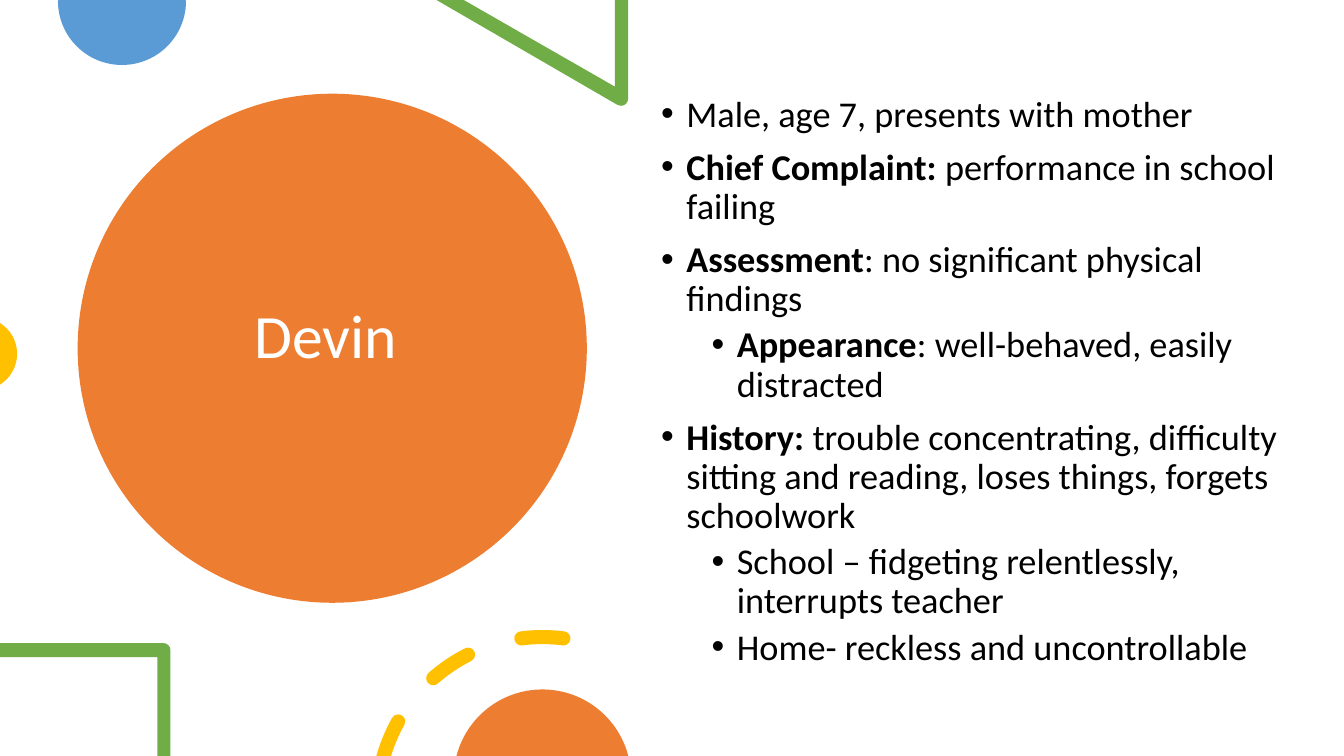
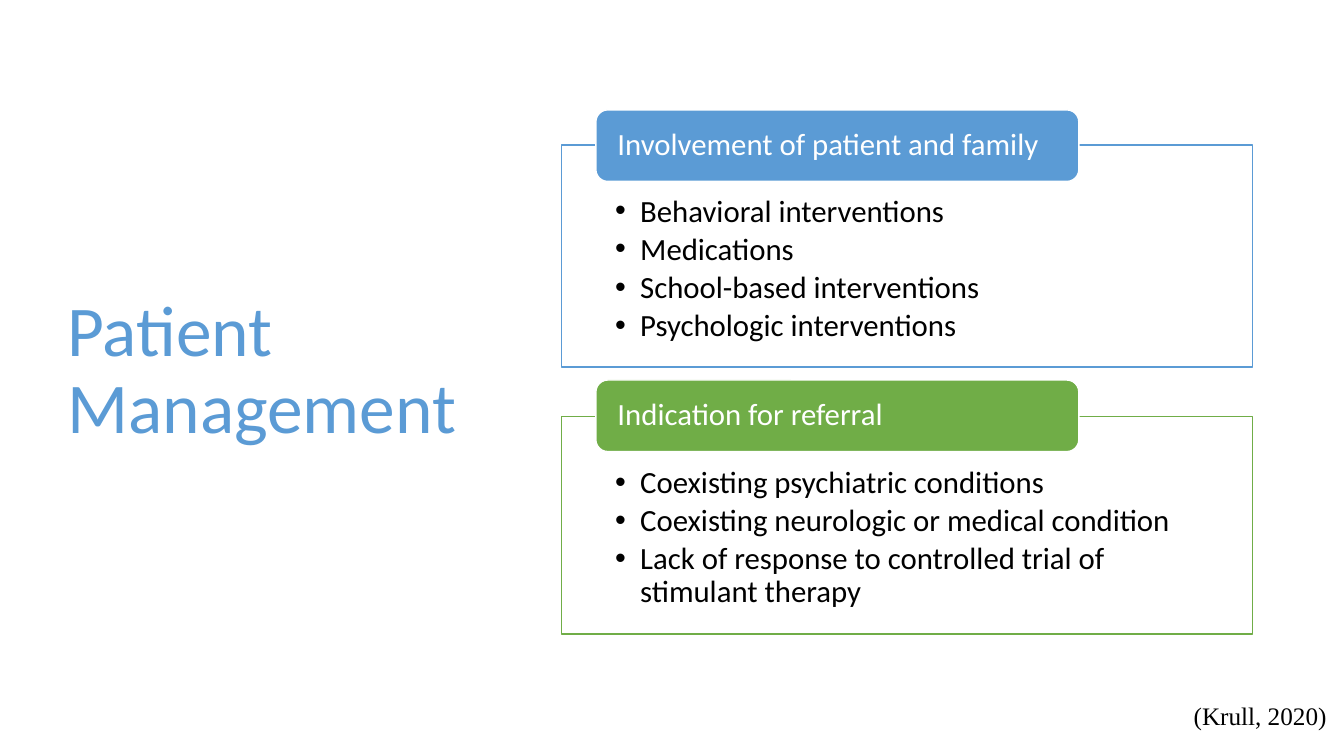
import math

import pptx
import pptx.dml.color
import pptx.enum.shapes
import pptx.enum.text
import pptx.oxml
import pptx.oxml.ns
import pptx.util

PX = 9144  # EMU in one px, 100 px to the inch
SLIDE_WIDTH, SLIDE_HEIGHT = 1333, 750
INDENT = 25

RGB = pptx.dml.color.RGBColor
BLUE = RGB(0x5B, 0x9B, 0xD5)
GREEN = RGB(0x70, 0xAD, 0x47)
ORANGE = RGB(0xED, 0x7D, 0x31)
YELLOW = RGB(0xFF, 0xC0, 0x00)
WHITE = RGB(0xFF, 0xFF, 0xFF)
BLACK = RGB(0x00, 0x00, 0x00)

SHAPE = pptx.enum.shapes.MSO_SHAPE
ALIGN = pptx.enum.text.PP_ALIGN
ANCHOR = pptx.enum.text.MSO_ANCHOR
Pt = pptx.util.Pt
qn = pptx.oxml.ns.qn

TITLE_FRAME = {"vertical_anchor": ANCHOR.MIDDLE}


def arc(cx, cy, radius, start, end):
    """Start point, then Bezier curves cut at each quarter; degrees run clockwise from the right."""
    quarters = [q for q in range(-360, 721, 90) if min(start, end) < q < max(start, end)]
    stops = [math.radians(a) for a in [start, *sorted(quarters, reverse=end < start), end]]
    outline = [(cx + radius * math.cos(stops[0]), cy + radius * math.sin(stops[0]))]
    for a, b in zip(stops, stops[1:]):
        pull = 4 / 3 * math.tan((b - a) / 4)
        outline.append((
            cx + radius * (math.cos(a) - pull * math.sin(a)),
            cy + radius * (math.sin(a) + pull * math.cos(a)),
            cx + radius * (math.cos(b) + pull * math.sin(b)),
            cy + radius * (math.sin(b) - pull * math.cos(b)),
            cx + radius * math.cos(b), cy + radius * math.sin(b)))
    return outline


def write(shape, paragraphs, font, frame=None, spacing=None, bullets=False):
    """Fill a shape with (level, bold lead, plain text) paragraphs."""
    text_frame = shape.text_frame
    margins = {"margin_left": 10 * PX, "margin_right": 10 * PX,
               "margin_top": 5 * PX, "margin_bottom": 5 * PX}
    frame_format = {"word_wrap": True, "vertical_anchor": ANCHOR.TOP, **margins, **(frame or {})}
    for attribute, value in frame_format.items():
        setattr(text_frame, attribute, value)
    for index, (level, lead, plain) in enumerate(paragraphs):
        paragraph = text_frame.add_paragraph() if index else text_frame.paragraphs[0]
        paragraph_format = {"alignment": ALIGN.LEFT, "line_spacing": 0.9, "level": level,
                            **(spacing or {})}
        if bullets == "nested":
            paragraph_format["space_before"] = Pt(5 if level else 10)
        for attribute, value in paragraph_format.items():
            setattr(paragraph, attribute, value)
        if bullets:
            properties = paragraph._p.get_or_add_pPr()
            margin = INDENT + (2 * INDENT * level if bullets == "nested" else 0)
            properties.set("marL", str(margin * PX))
            properties.set("indent", str(-INDENT * PX))
            for tag, key, value in (("a:buFont", "typeface", "Arial"), ("a:buChar", "char", "•")):
                bullet = pptx.oxml.parse_xml(f"<{tag} {pptx.oxml.ns.nsdecls('a')}/>")
                bullet.set(key, value)
                properties.append(bullet)
        for text, bold in ((lead, True), (plain, False)):
            if text:
                run = paragraph.add_run()
                run.text = text
                for attribute, value in {"name": "Calibri", "bold": bold, **font}.items():
                    if attribute == "color":
                        run.font.color.rgb = value
                    else:
                        setattr(run.font, attribute, value)


deck = pptx.Presentation()
deck.slide_width, deck.slide_height = SLIDE_WIDTH * PX, SLIDE_HEIGHT * PX
blank = deck.slide_layouts[6]

# Slide 1: patient profile
profile = deck.slides.add_slide(blank).shapes
disc = profile.add_shape(SHAPE.OVAL, 77 * PX, 93 * PX, 505 * PX, 505 * PX)
disc.shadow.inherit = False
disc.fill.solid()
disc.fill.fore_color.rgb = ORANGE
disc.line.fill.background()

name_title = profile.add_textbox(146 * PX, 113 * PX, 354 * PX, 445 * PX)
write(name_title, [(0, "", " Devin ")], {"size": Pt(44), "color": WHITE},
      TITLE_FRAME, {"alignment": ALIGN.CENTER})

# Round-ended dashes at equal steps around one ring; the slide's edge cuts the first
ring_x, ring_y, ring_radius, half_width = 538, 796, 164, 7
outer, inner = ring_radius + half_width, ring_radius - half_width
edge_outer, edge_inner = (
    180 + math.degrees(math.asin((ring_y - SLIDE_HEIGHT) / radius)) for radius in (outer, inner))
dashes = []
for start in (194.7, 228.7, 262.7):
    end = start + 14.6
    cut = start < edge_outer
    end_x, end_y = arc(ring_x, ring_y, ring_radius, start, end)[-1][-2:]
    dash = [*arc(ring_x, ring_y, outer, edge_outer if cut else start, end),
            *arc(end_x, end_y, half_width, end, end + 180)[1:],
            *arc(ring_x, ring_y, inner, end, edge_inner if cut else start)[1:]]
    if not cut:
        start_x, start_y = arc(ring_x, ring_y, ring_radius, start, end)[0]
        dash += arc(start_x, start_y, half_width, start + 180, start + 360)[1:]
    dashes.append(dash)

decorations = [
    (BLUE, [[(184, 0), (58, 0), *arc(121, 1, 63.5, 180, 0)]]),
    (GREEN, [[(623, 0), (610, 0), (610, 86), (460, 0), (433, 0), *arc(616, 98, 7, 120, 0)]]),
    (YELLOW, [arc(-19, 351, 36, -58, 58)]),
    (GREEN, [[(169, 750), (156, 750), (156, 652), (0, 652), (0, 638), *arc(162, 645, 7, -90, 0)]]),
    (YELLOW, dashes),
    (ORANGE, [arc(538, 772, 88, 194.5, 345.5)]),
]
for color, contours in decorations:
    builder = profile.build_freeform(*(v * PX for v in contours[0][0]), scale=1.0)
    for index, contour in enumerate(contours):
        if index:
            builder.move_to(*(v * PX for v in contour[0]))
        builder.add_line_segments([(s[-2] * PX, s[-1] * PX) for s in contour[1:]], close=True)
    decoration = builder.convert_to_shape()
    decoration.shadow.inherit = False
    decoration.fill.solid()
    decoration.fill.fore_color.rgb = color
    decoration.line.fill.background()
    # Turn the straight steps that stand for curves into Bezier curves
    steps = [step for contour in contours for step in contour[1:]]
    for line, step in zip(list(decoration._element.iter(qn("a:lnTo"))), steps):
        if len(step) == 6:
            curve = pptx.oxml.parse_xml(f"<a:cubicBezTo {pptx.oxml.ns.nsdecls('a')}>"
                                        "<a:pt/><a:pt/><a:pt/></a:cubicBezTo>")
            for point, x, y in zip(curve, step[::2], step[1::2]):
                point.set("x", str(round(x * PX) - decoration.left))
                point.set("y", str(round(y * PX) - decoration.top))
            line.getparent().replace(line, curve)

findings = [
    (0, "", "Male, age 7, presents with mother"),
    (0, "Chief Complaint: ", "performance in school failing"),
    (0, "Assessment", ": no significant physical findings"),
    (1, "Appearance", ": well-behaved, easily distracted"),
    (0, "History: ", "trouble concentrating, difficulty sitting and reading, "
                     "loses things, forgets schoolwork"),
    (1, "", "School – fidgeting relentlessly, interrupts teacher"),
    (1, "", "Home- reckless and uncontrollable"),
]
case_notes = profile.add_textbox(646 * PX, 90 * PX, 637 * PX, 595 * PX)
write(case_notes, findings, {"size": Pt(25.9), "color": BLACK}, bullets="nested")

# Slide 2: patient management
management = deck.slides.add_slide(blank).shapes
management_title = management.add_textbox(57 * PX, 68 * PX, 416 * PX, 602 * PX)
write(management_title, [(0, "", "Patient Management")], {"size": Pt(51), "color": BLUE}, TITLE_FRAME)

citation = management.add_textbox(1174 * PX, 690 * PX, 159 * PX, 40 * PX)
write(citation, [(0, "", "(Krull, 2020)")],
      {"name": "Times New Roman", "size": Pt(18), "color": BLACK},
      {"word_wrap": False, "auto_size": pptx.enum.text.MSO_AUTO_SIZE.SHAPE_TO_FIT_TEXT},
      {"line_spacing": 1.0, "space_after": Pt(6)})

cards = [
    (109, 144, 220, BLUE, "Involvement of patient and family",
     ["Behavioral interventions", "Medications", "School-based interventions",
      "Psychologic interventions"]),
    (377, 413, 216, GREEN, "Indication for referral",
     ["Coexisting psychiatric conditions", "Coexisting neurologic or medical condition",
      "Lack of response to controlled trial of stimulant therapy"]),
]
card_frame = {"margin_left": 53 * PX, "margin_right": 53 * PX,
              "margin_top": 50 * PX, "margin_bottom": 17 * PX}
heading_frame = {"margin_left": 18 * PX, "margin_right": 18 * PX, "margin_top": 0,
                 "margin_bottom": 0, **TITLE_FRAME}
for tab_top, top, height, color, heading, items in cards:
    card = management.add_shape(SHAPE.RECTANGLE, 557 * PX, top * PX, 685 * PX, height * PX)
    tab = management.add_shape(SHAPE.ROUNDED_RECTANGLE, 591 * PX, tab_top * PX, 479 * PX, 71 * PX)
    for part, fill, line in ((card, WHITE, color), (tab, color, WHITE)):
        part.shadow.inherit = False
        part.fill.solid()
        part.fill.fore_color.rgb = fill
        part.line.color.rgb = line
        part.line.width = Pt(1)
    write(card, [(1, "", item) for item in items], {"size": Pt(22), "color": BLACK},
          card_frame, {"space_after": Pt(3.4)}, bullets=True)
    write(tab, [(0, "", heading)], {"size": Pt(22), "color": WHITE}, heading_frame)

deck.save("out.pptx")
